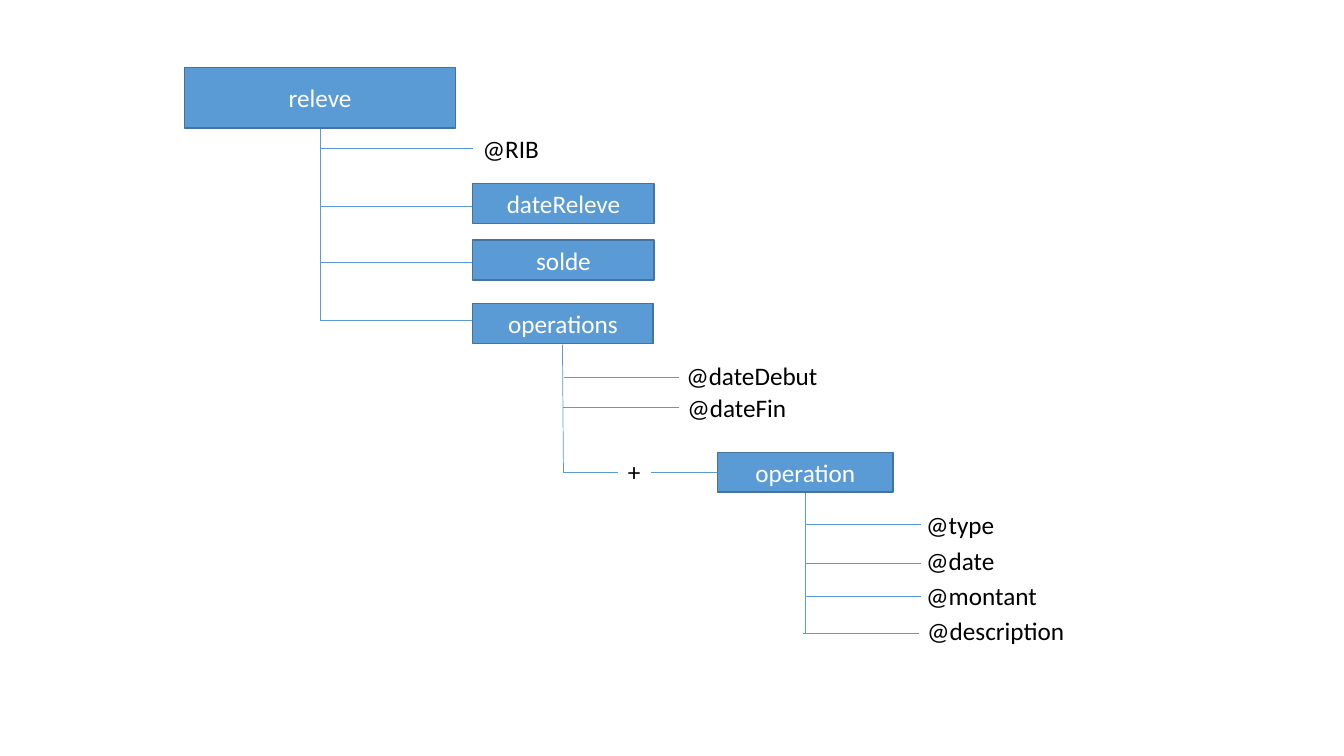
from typing import NamedTuple

from lxml.etree import SubElement
from pptx import Presentation
from pptx.dml.color import RGBColor as Rgb
from pptx.enum.shapes import MSO_CONNECTOR as Link, MSO_SHAPE as Form
from pptx.enum.text import MSO_ANCHOR as Anchor, MSO_AUTO_SIZE as Fit, PP_ALIGN as Align
from pptx.oxml.ns import qn
from pptx.util import Inches, Pt

COLORS = {"fill": "5B9BD5", "edge": "43739E", "light": "FFFFFF", "dark": "000000"}
FONT, SIZE = "Calibri", 18

# The slide is a grid of 40 columns by 30 rows
deck = Presentation()
deck.slide_width, deck.slide_height = Inches(13.33), Inches(7.5)
COL, ROW = deck.slide_width / 40, deck.slide_height / 30
slide = deck.slides.add_slide(deck.slide_layouts[6])


class Node(NamedTuple):
    text: str
    col: float
    row: float
    wide: float
    high: float = 1.6


class Line(NamedTuple):
    col: float
    row: float
    to_col: float
    to_row: float


class Tree(NamedTuple):
    trunk: Line
    twigs: list[Line]


def twig(row: float, start: float, end: float) -> Line:
    return Line(start, row, end, row)


def tint(name: str) -> Rgb:
    return Rgb.from_string(COLORS[name])


def place(node: Node) -> tuple[int, int, int, int]:
    return (round(node.col * COL), round(node.row * ROW),
            round(node.wide * COL), round(node.high * ROW))


def write(frame, text: str, color: str, align: Align) -> None:
    frame.text = text
    para = frame.paragraphs[0]
    para.alignment = align
    font = para.runs[0].font
    font.name, font.size, font.color.rgb = FONT, Pt(SIZE), tint(color)


def draw_line(line: Line) -> None:
    link = slide.shapes.add_connector(
        Link.STRAIGHT, round(line.col * COL), round(line.row * ROW),
        round(line.to_col * COL), round(line.to_row * ROW))
    link.line.color.rgb, link.line.width = tint("fill"), Pt(0.5)
    SubElement(link._element.spPr, qn("a:effectLst"))


def draw_box(node: Node) -> None:
    box = slide.shapes.add_shape(Form.RECTANGLE, *place(node))
    box.shadow.inherit = False
    box.fill.solid()
    box.fill.fore_color.rgb = tint("fill")
    box.line.color.rgb, box.line.width = tint("edge"), Pt(1)
    box.text_frame.vertical_anchor = Anchor.MIDDLE
    write(box.text_frame, node.text, "light", Align.CENTER)


def draw_label(node: Node) -> None:
    frame = slide.shapes.add_textbox(*place(node)).text_frame
    frame.word_wrap, frame.auto_size = False, Fit.SHAPE_TO_FIT_TEXT
    write(frame, node.text, "dark", Align.LEFT)


# Elements
boxes = [
    Node("releve", 5.49, 2.68, 8.07, 2.4),
    Node("dateReleve", 14.07, 7.28, 5.4),
    Node("solde", 14.07, 9.52, 5.4),
    Node("operations", 14.07, 12.04, 5.37),
    Node("operation", 21.36, 17.96, 5.22, 1.56),
]

# Attributes and the repeat sign
labels = [
    Node("@RIB", 14.07, 5.08, 2.28),
    Node("@dateDebut", 20.13, 14.12, 4.56),
    Node("@dateFin", 20.16, 15.36, 3.57),
    Node("+", 18.39, 17.92, 0.99),
    Node("@type", 27.27, 20, 2.67),
    Node("@date", 27.27, 21.44, 2.67),
    Node("@montant", 27.27, 22.84, 3.93),
    Node("@description", 27.3, 24.24, 4.74),
]

# Trunk and twigs below releve, operations and operation
trees = [
    Tree(Line(9.52, 5.08, 9.52, 12.72),
         [twig(row, 9.52, 14.07) for row in (5.88, 8.2, 10.4, 12.72)]),
    Tree(Line(16.74, 13.68, 16.77, 18.76),
         [twig(14.96, 16.8, 20.22), twig(16.16, 16.77, 20.22),
          twig(18.76, 16.77, 18.39), twig(18.76, 19.38, 21.36)]),
    Tree(Line(23.97, 19.52, 23.97, 25.12),
         [twig(row, 23.97, 27.42) for row in (20.8, 22.36, 23.68)]
         + [twig(25.12, 23.91, 27.36)]),
]

for tree in trees:
    for line in (tree.trunk, *tree.twigs):
        draw_line(line)
for node in boxes:
    draw_box(node)
for node in labels:
    draw_label(node)

deck.save("out.pptx")
